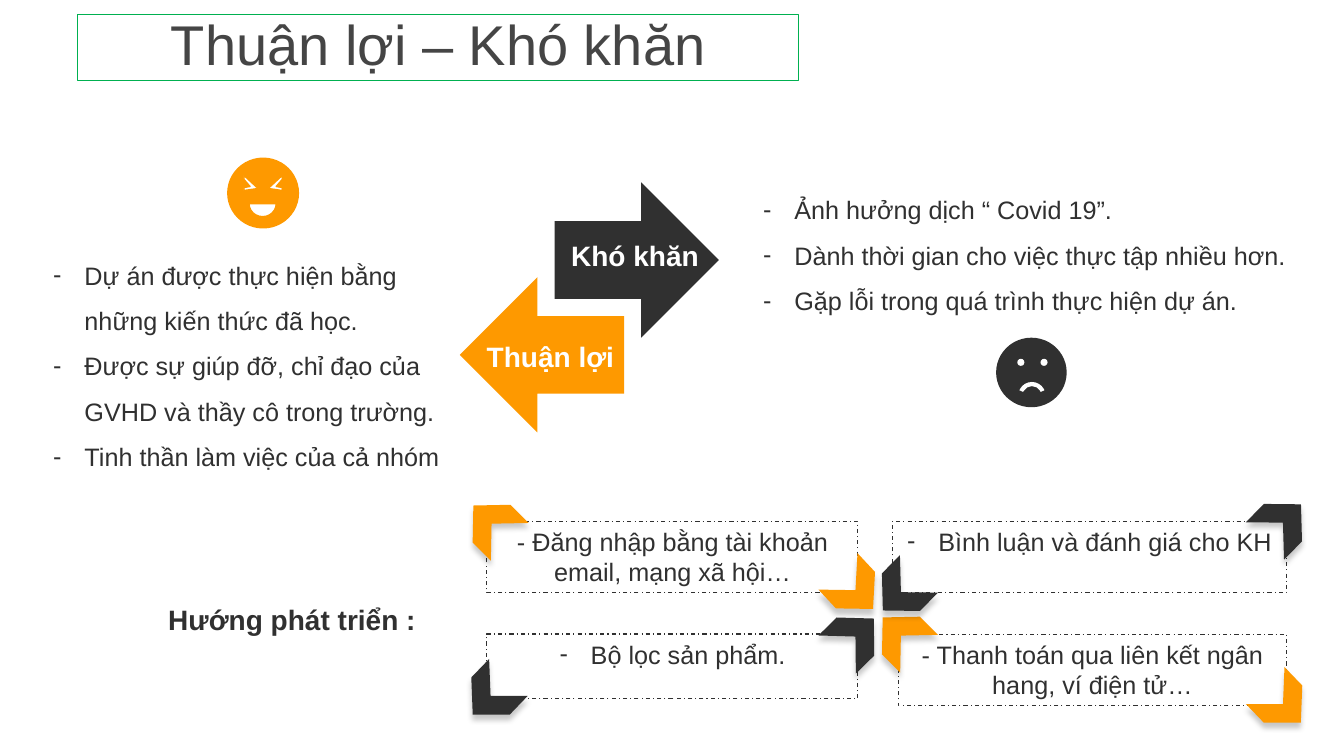
from lxml.etree import SubElement
from pptx import Presentation
from pptx.dml.color import RGBColor
from pptx.enum.dml import MSO_LINE_DASH_STYLE as Dash
from pptx.enum.shapes import MSO_SHAPE as Preset
from pptx.enum.text import MSO_ANCHOR as Anchor, PP_ALIGN as Align
from pptx.oxml.ns import qn
from pptx.util import Inches, Pt

ORANGE = RGBColor(0xFE, 0x99, 0x00)
DARK = RGBColor(0x30, 0x30, 0x30)
TITLE_GRAY = RGBColor(0x45, 0x45, 0x45)
GREEN = RGBColor(0x00, 0xB0, 0x50)
WHITE = RGBColor(0xFF, 0xFF, 0xFF)
BLACK = RGBColor(0x00, 0x00, 0x00)

ADVANTAGES = [
    "Dự án được thực hiện bằng những kiến thức đã học.",
    "Được sự giúp đỡ, chỉ đạo của GVHD và thầy cô trong trường.",
    "Tinh thần làm việc của cả nhóm",
]
DIFFICULTIES = [
    "Ảnh hưởng dịch “ Covid 19”.",
    "Dành thời gian cho việc thực tập nhiều hơn.",
    "Gặp lỗi trong quá trình thực hiện dự án.",
]
PLANS = [
    (4.83, 5.17, 3.68, 0.71, "- Đăng nhập bằng tài khoản email, mạng xã hội…", False),
    (4.83, 6.29, 3.68, 0.64, "Bộ lọc sản phẩm.", True),
    (8.85, 5.17, 3.91, 0.71, "Bình luận và đánh giá cho KH", True),
    (8.91, 6.29, 3.85, 0.71, "- Thanh toán qua liên kết ngân hang, ví điện tử…", False),
]
CORNERS = [
    (4.62, 4.93, 225, ORANGE),
    (8.68, 6.04, 225, ORANGE),
    (12.47, 6.72, 46.2, ORANGE),
    (8.23, 5.59, 47, ORANGE),
    (4.61, 6.64, 133.9, DARK),
    (12.47, 4.92, 314.5, DARK),
    (8.68, 5.61, 134.6, DARK),
    (8.23, 6.05, 315.5, DARK),
]


def style_shape(shape, fill=None, line=None, width=0.75):
    shape.shadow.inherit = False
    if fill is None:
        shape.fill.background()
    else:
        shape.fill.solid()
        shape.fill.fore_color.rgb = fill
    if line is None:
        shape.line.fill.background()
    else:
        shape.line.color.rgb = line
        shape.line.width = Pt(width)


def add_preset(slide, preset, left, top, width, height, fill=None, line=None,
               line_width=0.75, rotation=0):
    shape = slide.shapes.add_shape(
        preset, Inches(left), Inches(top), Inches(width), Inches(height))
    style_shape(shape, fill, line, line_width)
    shape.rotation = rotation
    return shape


def add_dash_bullet(paragraph):
    properties = paragraph._p.get_or_add_pPr()
    properties.set("marL", str(Inches(0.31)))
    properties.set("indent", str(-Inches(0.31)))
    SubElement(properties, qn("a:buFont")).set("typeface", "Arial")
    SubElement(properties, qn("a:buChar")).set("char", "-")


def write_text(shape, lines, size, color=DARK, bold=False, align=Align.LEFT,
               anchor=Anchor.TOP, spacing=None, bullet=False):
    frame = shape.text_frame
    frame.word_wrap = True
    frame.vertical_anchor = anchor
    frame.text = "\n".join(lines)
    for paragraph in frame.paragraphs:
        paragraph.alignment = align
        if spacing:
            paragraph.line_spacing = spacing
        if bullet:
            add_dash_bullet(paragraph)
        for run in paragraph.runs:
            run.font.name = "Arial"
            run.font.size = Pt(size)
            run.font.bold = bold
            run.font.color.rgb = color


def add_text(slide, left, top, width, height, lines, size, **options):
    box = slide.shapes.add_textbox(
        Inches(left), Inches(top), Inches(width), Inches(height))
    write_text(box, lines, size, **options)


def add_soft_shadow(shape):
    effects = shape._element.spPr.find(qn("a:effectLst"))
    shadow = SubElement(effects, qn("a:outerShdw"), blurRad=str(Pt(4)),
                        dist=str(Pt(4)), dir="5400000", rotWithShape="0")
    color = SubElement(shadow, qn("a:srgbClr"), val=str(BLACK))
    SubElement(color, qn("a:alpha"), val="22000")


def add_squinting_eye(slide, center, direction):
    outline = [(-0.19, 1.74), (-0.05, 1.87), (-0.19, 1.89),
               (-0.19, 1.86), (-0.13, 1.85), (-0.19, 1.78)]
    points = [(Inches(center + direction * x), Inches(y)) for x, y in outline]
    builder = slide.shapes.build_freeform(*points[0])
    builder.add_line_segments(points[1:], close=True)
    style_shape(builder.convert_to_shape(), WHITE, ORANGE, 1)


def add_happy_face(slide):
    add_preset(slide, Preset.OVAL, 2.26, 1.57, 0.7, 0.69, ORANGE, ORANGE, 1)
    for direction in (1, -1):
        add_squinting_eye(slide, 2.61, direction)
    mouth = add_preset(slide, Preset.CHORD, 2.47, 1.89, 0.27, 0.26, WHITE, ORANGE, 1)
    mouth.adjustments[0] = 0
    mouth.adjustments[1] = 180 * 0.6


def add_sad_face(slide):
    add_preset(slide, Preset.OVAL, 9.88, 3.35, 0.7, 0.69, DARK)
    for left in (10.09, 10.32):
        add_preset(slide, Preset.OVAL, left, 3.56, 0.07, 0.07, WHITE)
    mouth = add_preset(slide, Preset.BLOCK_ARC, 10.1, 3.79, 0.27, 0.27, WHITE)
    mouth.adjustments[0] = 203 * 0.6
    mouth.adjustments[1] = 337 * 0.6
    mouth.adjustments[2] = 0.15


def main():
    presentation = Presentation()
    presentation.slide_width = Inches(13.33)
    presentation.slide_height = Inches(7.5)
    slide = presentation.slides.add_slide(presentation.slide_layouts[6])

    title = add_preset(slide, Preset.RECTANGLE, 0.77, 0.14, 7.15, 0.66, line=GREEN)
    write_text(title, ["Thuận lợi – Khó khăn"], 40, TITLE_GRAY,
               align=Align.CENTER, anchor=Anchor.MIDDLE, spacing=0.9)

    add_preset(slide, Preset.RIGHT_ARROW, 4.56, 2.75, 1.63, 1.54, ORANGE, rotation=180)
    add_preset(slide, Preset.RIGHT_ARROW, 5.5, 1.81, 1.63, 1.54, DARK)
    for left, top, label in ((4.5, 3.31, "Thuận lợi"), (5.34, 2.31, "Khó khăn")):
        add_text(slide, left, top, 1.69, 0.44, [label], 20, color=WHITE, bold=True,
                 align=Align.RIGHT, anchor=Anchor.MIDDLE)

    add_text(slide, 0.43, 2.38, 4.2, 2.32, ADVANTAGES, 18, spacing=1.5, bullet=True)
    add_text(slide, 7.47, 1.73, 5.52, 1.41, DIFFICULTIES, 18, spacing=1.5, bullet=True)
    add_happy_face(slide)
    add_sad_face(slide)

    add_text(slide, 1.57, 5.93, 2.78, 0.44, ["Hướng phát triển :"], 20, bold=True)
    for left, top, width, height, text, bullet in PLANS:
        box = add_preset(slide, Preset.RECTANGLE, left, top, width, height, line=DARK)
        box.line.dash_style = Dash.DASH_DOT
        write_text(box, [text], 18, align=Align.CENTER, bullet=bullet)
    for left, top, rotation, color in CORNERS:
        corner = add_preset(slide, Preset.CHEVRON, left, top, 0.51, 0.53, color,
                            rotation=rotation)
        add_soft_shadow(corner)

    presentation.save("out.pptx")


if __name__ == "__main__":
    main()
